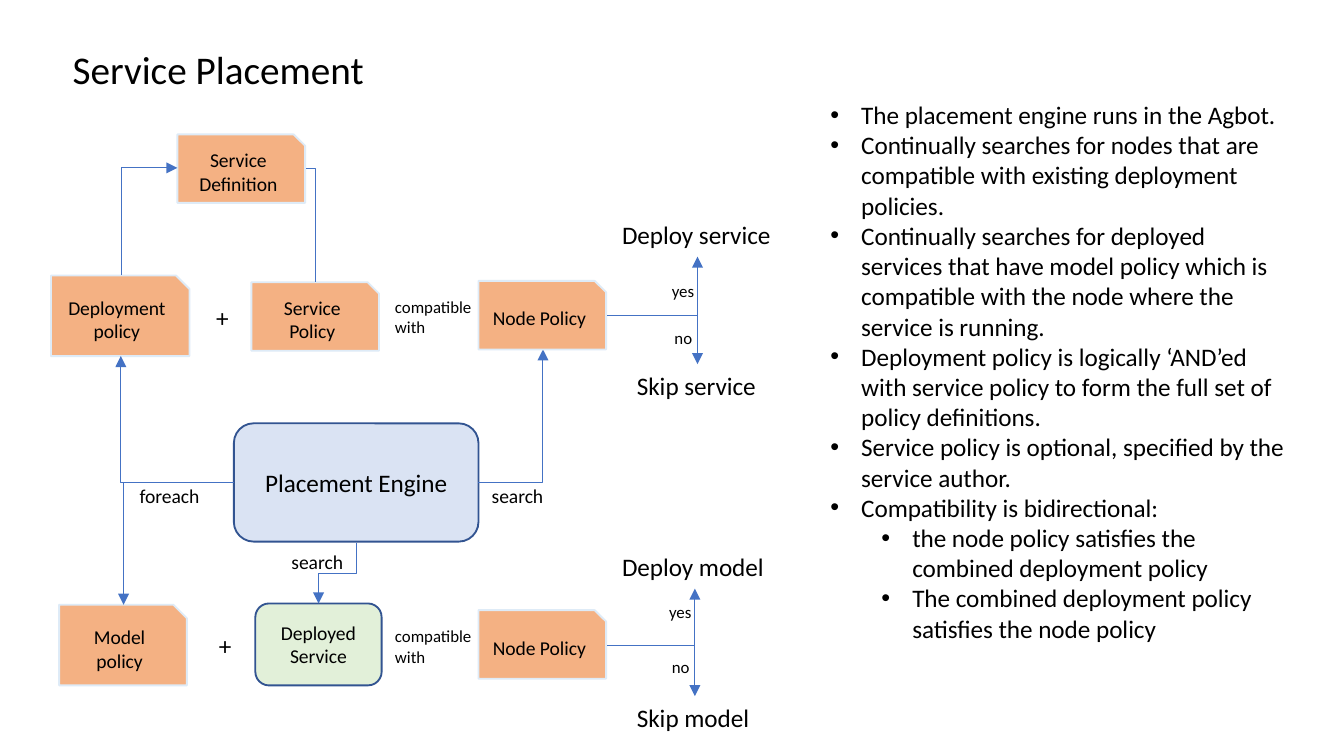
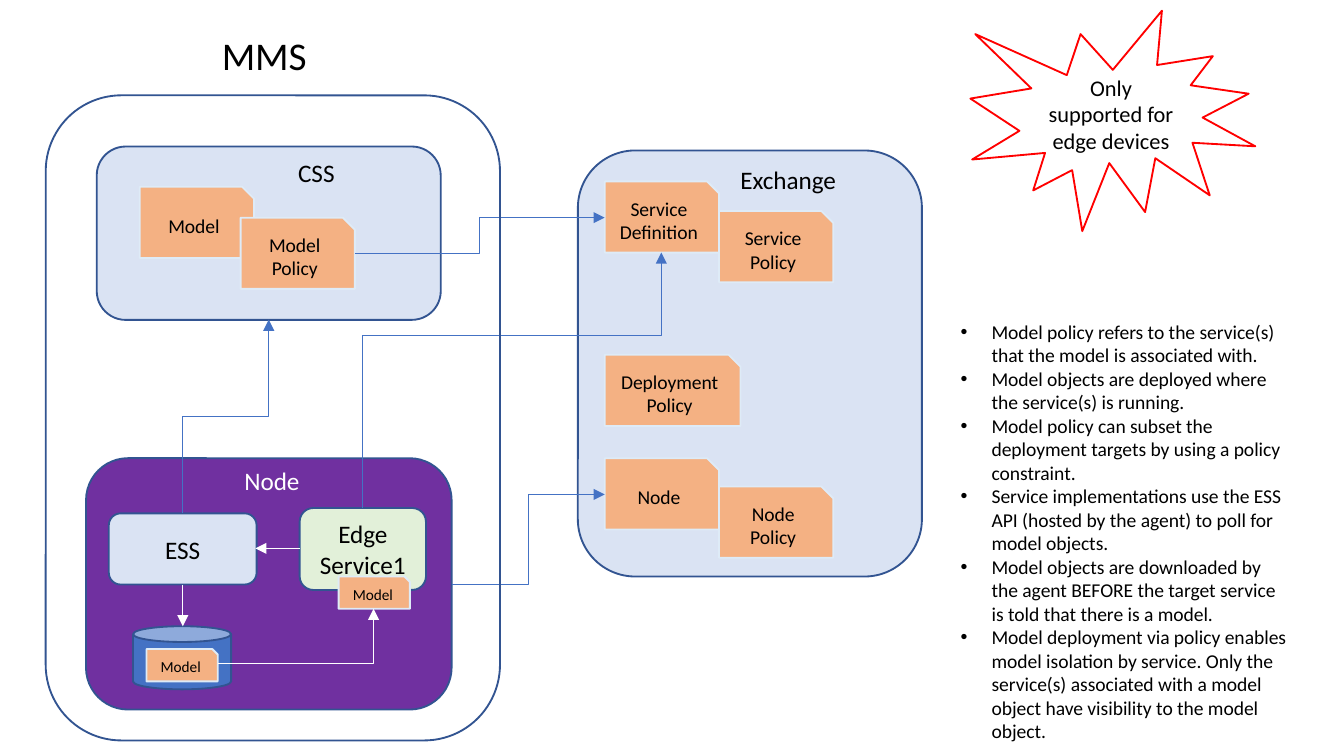
from lxml.etree import SubElement
from pptx import Presentation
from pptx.dml.color import RGBColor
from pptx.enum.shapes import MSO_CONNECTOR, MSO_SHAPE
from pptx.enum.text import MSO_ANCHOR, MSO_AUTO_SIZE, PP_ALIGN
from pptx.oxml.ns import qn
from pptx.util import Emu, Pt

EMU_PER_PX = 9144
SLIDE_WIDTH = 1000 * EMU_PER_PX
SLIDE_HEIGHT = SLIDE_WIDTH * 9 // 16
FONT = "Calibri"
TITLE_SIZE, LABEL_SIZE, NOTE_SIZE, SMALL_SIZE, TINY_SIZE = 21, 13.5, 10.5, 9, 8.2
BLACK = RGBColor(0x00, 0x00, 0x00)
WHITE = RGBColor(0xFF, 0xFF, 0xFF)
RED = RGBColor(0xFF, 0x00, 0x00)
ORANGE = RGBColor(0xF4, 0xB1, 0x83)
PALE_EDGE = RGBColor(0xDE, 0xEB, 0xF7)
PALE_BLUE = RGBColor(0xDA, 0xE3, 0xF3)
PALE_GREEN = RGBColor(0xE2, 0xF0, 0xD9)
PURPLE = RGBColor(0x70, 0x30, 0xA0)
BLUE = RGBColor(0x44, 0x72, 0xC4)
NAVY = RGBColor(0x32, 0x54, 0x91)

PLACEMENT_NOTES = [
    ("The placement engine runs in the Agbot.", 0),
    ("Continually searches for nodes that are compatible with existing deployment policies.", 0),
    ("Continually searches for deployed services that have model policy which is "
     "compatible with the node where the service is running.", 0),
    ("Deployment policy is logically ‘AND’ed with service policy to form the full set "
     "of policy definitions.", 0),
    ("Service policy is optional, specified by the service author.", 0),
    ("Compatibility is bidirectional:", 0),
    ("the node policy satisfies the combined deployment policy", 1),
    ("The combined deployment policy satisfies the node policy", 1),
]
MODEL_NOTES = [
    ("Model policy refers to the service(s) that the model is associated with.", 0),
    ("Model objects are deployed where the service(s) is running.", 0),
    ("Model policy can subset the deployment targets by using a policy constraint.", 0),
    ("Service implementations use the ESS API (hosted by the agent) to poll for model objects.", 0),
    ("Model objects are downloaded by the agent BEFORE the target service is told that "
     "there is a model.", 0),
    ("Model deployment via policy enables model isolation by service. Only the service(s) "
     "associated with a model object have visibility to the model object.", 0),
]


def px(length):
    """Turn px, a hundredth of an inch each, into EMU."""
    return Emu(round(length * EMU_PER_PX))


def add_run(paragraph, text, size, color=BLACK):
    """Add one formatted run to a paragraph."""
    run = paragraph.add_run()
    run.text = text
    run.font.name = FONT
    run.font.size = Pt(size)
    run.font.color.rgb = color


def add_title_slide(presentation, title, box):
    """Add a title-only slide with its title placed in the box."""
    slide = presentation.slides.add_slide(presentation.slide_layouts[5])
    shape = slide.shapes.title
    shape.left, shape.top, shape.width, shape.height = map(px, box)
    frame = shape.text_frame
    frame.word_wrap = False
    frame.auto_size = MSO_AUTO_SIZE.SHAPE_TO_FIT_TEXT
    frame.vertical_anchor = MSO_ANCHOR.TOP
    frame.paragraphs[0].alignment = PP_ALIGN.LEFT
    add_run(frame.paragraphs[0], title, TITLE_SIZE)
    return slide


def add_text_frame(slide, box, wrap=True):
    """Add a text box that grows with its text and return its frame."""
    frame = slide.shapes.add_textbox(*map(px, box)).text_frame
    frame.word_wrap = wrap
    frame.auto_size = MSO_AUTO_SIZE.SHAPE_TO_FIT_TEXT
    return frame


def add_label(slide, box, lines, size=LABEL_SIZE, color=BLACK, wrap=True):
    """Add a label with one paragraph for each line."""
    frame = add_text_frame(slide, box, wrap)
    for index, line in enumerate(lines.split("\n")):
        paragraph = frame.add_paragraph() if index else frame.paragraphs[0]
        add_run(paragraph, line, size, color)


def add_bullets(slide, box, notes, size):
    """Add a bulleted list of (text, level) notes."""
    frame = add_text_frame(slide, box)
    for index, (text, level) in enumerate(notes):
        paragraph = frame.add_paragraph() if index else frame.paragraphs[0]
        paragraph.level = level
        properties = paragraph._p.get_or_add_pPr()
        properties.set("marL", str(px(23 + 38 * level)))
        properties.set("indent", str(px(-23)))
        SubElement(properties, qn("a:buFont"), typeface="Arial")
        SubElement(properties, qn("a:buChar"), char="•")
        add_run(paragraph, text, size)


def add_block(slide, kind, box, fill, line, text="", size=NOTE_SIZE):
    """Add a preset shape with centred text; no fill when fill is None."""
    shape = slide.shapes.add_shape(kind, *map(px, box))
    shape.shadow.inherit = False
    if fill is None:
        shape.fill.background()
    else:
        shape.fill.solid()
        shape.fill.fore_color.rgb = fill
    shape.line.color.rgb = line
    shape.line.width = Pt(1)
    if text:
        frame = shape.text_frame
        frame.word_wrap = True
        frame.vertical_anchor = MSO_ANCHOR.MIDDLE
        frame.paragraphs[0].alignment = PP_ALIGN.CENTER
        add_run(frame.paragraphs[0], text, size)


def add_card(slide, box, text, size=NOTE_SIZE):
    """Add an orange card with a snipped corner."""
    add_block(slide, MSO_SHAPE.SNIP_1_RECTANGLE, box, ORANGE, PALE_EDGE, text, size)


def add_panel(slide, box, fill, text="", size=LABEL_SIZE):
    """Add a rounded panel with a navy outline."""
    add_block(slide, MSO_SHAPE.ROUNDED_RECTANGLE, box, fill, NAVY, text, size)


def add_link(slide, start, end, bends=0, vertical=False, color=BLUE, arrow=True, bend_at=None):
    """Add a line with 0, 1 or 2 bends that leaves sideways or vertically."""
    (x1, y1), (x2, y2) = start, end
    if vertical:
        center_x, center_y = (x1 + x2) / 2, (y1 + y2) / 2
        half_x, half_y = (y2 - y1) / 2, (x1 - x2) / 2
        x1, y1 = center_x - half_x, center_y - half_y
        x2, y2 = center_x + half_x, center_y + half_y
    kind = MSO_CONNECTOR.ELBOW if bends else MSO_CONNECTOR.STRAIGHT
    connector = slide.shapes.add_connector(kind, px(x1), px(y1), px(x2), px(y2))
    connector.line.color.rgb = color
    connector.line.width = Pt(0.5)
    properties = connector.element.spPr
    geometry = properties.find(qn("a:prstGeom"))
    if vertical:
        properties.find(qn("a:xfrm")).set("rot", "5400000")
    if bends == 1:
        geometry.set("prst", "bentConnector2")
    if bend_at is not None:
        SubElement(geometry.find(qn("a:avLst")), qn("a:gd"),
                   name="adj1", fmla=f"val {round(bend_at * 100000)}")
    if arrow:
        SubElement(properties.find(qn("a:ln")), qn("a:tailEnd"), type="triangle")
    SubElement(properties, qn("a:effectLst"))


def add_policy_test(slide, subject, middle, fork, top, bottom, yes_top):
    """Add a node policy check that forks into deploy and skip."""
    add_label(slide, (284, middle - 19, 78, 40), "compatible\nwith", SMALL_SIZE)
    add_card(slide, (356, middle - 26, 95, 51), "Node Policy")
    for end in (top, bottom):
        add_link(slide, (452, middle), (fork, end), bends=1)
    add_label(slide, (453, top - 33, 132, 33), f"Deploy {subject}")
    add_label(slide, (464, bottom, 110, 33), f"Skip {subject}")
    add_label(slide, (fork - 29, yes_top, 39, 25), "yes", SMALL_SIZE)
    add_label(slide, (fork - 27, middle + 4, 39, 25), "no", SMALL_SIZE)


def build_placement(presentation):
    """Build the service placement slide."""
    slide = add_title_slide(presentation, "Service Placement", (44, 29, 240, 45))
    for box, text in (
        ((38, 205, 103, 60), "Deployment policy"),
        ((132, 100, 95, 51), "Service Definition"),
        ((187, 210, 95, 51), "Service Policy"),
        ((44, 450, 95, 60), "Model policy"),
    ):
        add_card(slide, box, text)
    add_panel(slide, (174, 315, 182, 88), PALE_BLUE, "Placement Engine")
    add_panel(slide, (190, 449, 94, 61), PALE_GREEN, "Deployed Service", NOTE_SIZE)
    add_label(slide, (151, 220, 23, 33), "+")
    add_label(slide, (153, 464, 23, 33), "+")
    add_link(slide, (90, 205), (132, 125), bends=1, vertical=True)
    add_link(slide, (228, 125), (235, 210), bends=1, arrow=False)
    add_link(slide, (174, 359), (90, 265), bends=1)
    add_link(slide, (174, 359), (92, 450), bends=1)
    add_link(slide, (356, 359), (404, 260), bends=1)
    add_link(slide, (265, 404), (237, 449), bends=2, vertical=True)
    for box, text in (
        ((94, 355, 66, 28), "foreach"),
        ((356, 355, 59, 28), "search"),
        ((207, 404, 59, 28), "search"),
    ):
        add_label(slide, box, text, NOTE_SIZE, wrap=False)
    add_policy_test(slide, "service", 235, 519, 191, 271, 204)
    add_policy_test(slide, "model", 480, 517, 438, 518, 443)
    add_bullets(slide, (608, 69, 360, 419), PLACEMENT_NOTES, LABEL_SIZE)


def build_mms(presentation):
    """Build the model management slide."""
    slide = add_title_slide(presentation, "MMS", (155, 18, 84, 45))
    add_panel(slide, (72, 109, 256, 129), PALE_BLUE)
    add_panel(slide, (430, 112, 256, 317), PALE_BLUE)
    add_panel(slide, (64, 341, 272, 187), PURPLE)
    add_label(slide, (212, 112, 105, 33), "CSS")
    add_label(slide, (541, 117, 139, 33), "Exchange")
    add_label(slide, (172, 341, 74, 33), "Node", color=WHITE)
    for left, top, width, text in (
        (535, 362, 85, "Node Policy"),
        (535, 157, 85, "Service Policy"),
        (450, 264, 101, "Deployment Policy"),
        (450, 135, 85, "Service Definition"),
        (450, 341, 85, "Node"),
        (104, 139, 85, "Model"),
        (179, 162, 85, "Model Policy"),
    ):
        add_card(slide, (left, top, width, 53), text)
    add_block(slide, MSO_SHAPE.EXPLOSION1, (722, 8, 212, 164), None, RED,
              "Only supported for edge devices", 12)
    add_panel(slide, (81, 382, 110, 53), PALE_BLUE, "ESS")
    add_panel(slide, (223, 378, 94, 61), PALE_GREEN, "Edge Service1")
    add_block(slide, MSO_SHAPE.CAN, (99, 466, 73, 47), BLUE, NAVY)
    for left, top in ((252, 429), (109, 483)):
        add_card(slide, (left, top, 53, 24), "Model", TINY_SIZE)
    add_link(slide, (264, 189), (450, 162), bends=2)
    add_link(slide, (136, 382), (200, 238), bends=2, vertical=True)
    add_link(slide, (336, 435), (450, 368), bends=2)
    add_link(slide, (270, 378), (492, 188), bends=2, vertical=True, bend_at=0.675)
    add_link(slide, (223, 408), (190, 408), color=WHITE)
    add_link(slide, (136, 435), (136, 466), color=WHITE)
    add_link(slide, (162, 494), (278, 453), bends=1, color=WHITE)
    add_bullets(slide, (705, 233, 263, 328), MODEL_NOTES, NOTE_SIZE)
    add_panel(slide, (34, 71, 338, 480), None)


def main():
    """Build both slides and save the presentation."""
    presentation = Presentation()
    presentation.slide_width = Emu(SLIDE_WIDTH)
    presentation.slide_height = Emu(SLIDE_HEIGHT)
    build_placement(presentation)
    build_mms(presentation)
    presentation.save("out.pptx")


if __name__ == "__main__":
    main()
